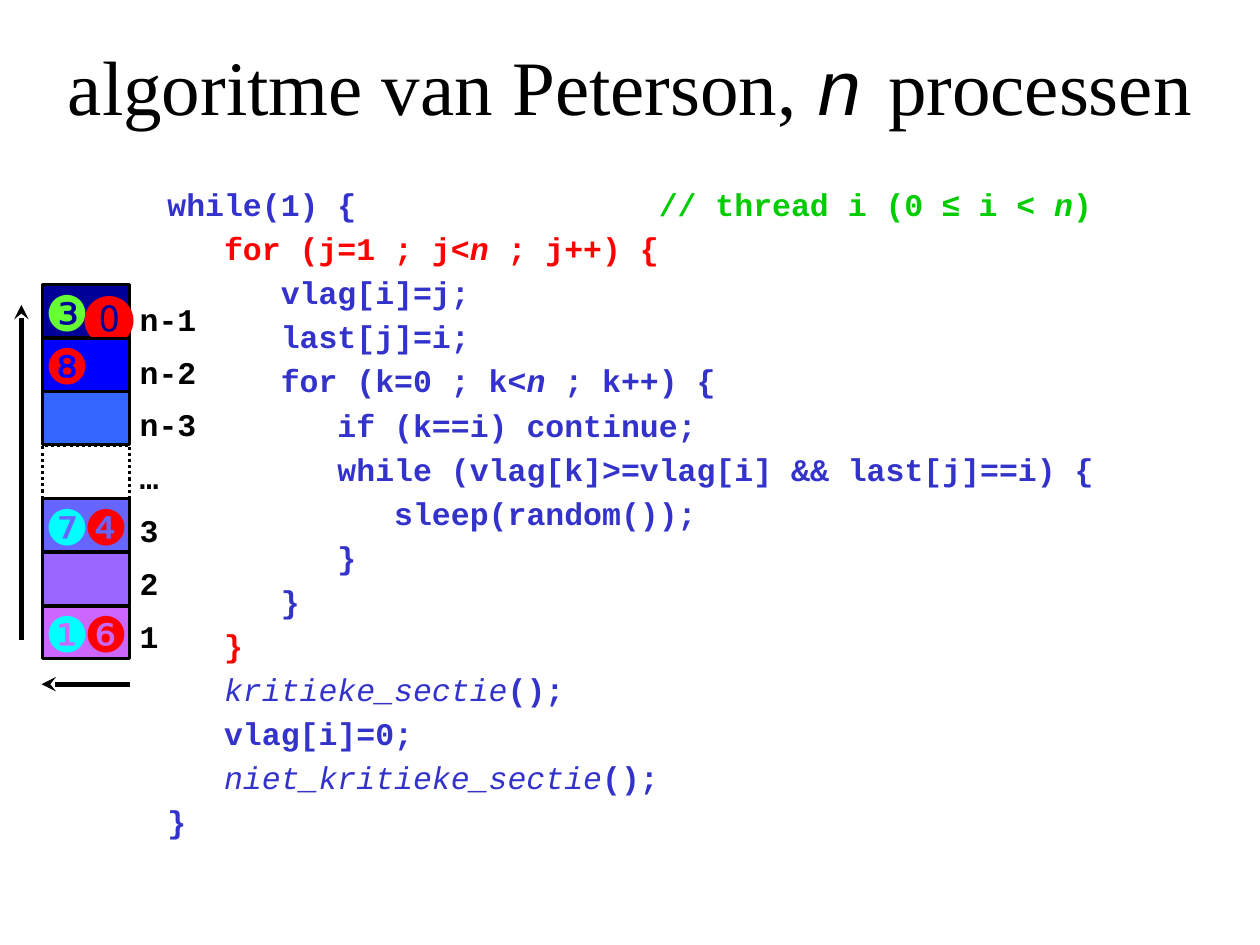
"""Build the slide on Peterson's algorithm for n processes."""
from lxml.etree import SubElement
from pptx import Presentation
from pptx.dml.color import RGBColor
from pptx.enum.dml import MSO_LINE
from pptx.enum.shapes import MSO_CONNECTOR, MSO_SHAPE
from pptx.enum.text import MSO_ANCHOR, PP_ALIGN
from pptx.oxml.ns import qn
from pptx.util import Inches, Pt


def paint(fill, colour):
    fill.solid()
    fill.fore_color.rgb = RGBColor.from_string(colour)


def write(paragraph, runs, colour, **shared):
    for text, changes in runs:
        run = paragraph.add_run()
        run.text = text
        style = {"name": "Courier New", "size": Pt(18), "bold": True, "italic": False} | shared | changes
        paint(run.font.fill, style.pop("colour", colour))
        for attribute, value in style.items():
            setattr(run.font, attribute, value)


BLUE, RED, GREEN, BLACK = "3333CC", "FF0000", "00CC00", "000000"
ITALIC = {"italic": True}
SECTION = {"italic": True, "bold": False}

presentation = Presentation()
presentation.slide_width, presentation.slide_height = Inches(10), Inches(7.5)
slide = presentation.slides.add_slide(presentation.slide_layouts[5])
shapes = slide.shapes

heading = shapes.title
heading.left, heading.top, heading.width, heading.height = Inches(0), Inches(0.05), Inches(10), Inches(1.25)
heading.text_frame.vertical_anchor = MSO_ANCHOR.MIDDLE
heading_line = heading.text_frame.paragraphs[0]
heading_line.alignment = PP_ALIGN.CENTER
serif = {"name": "Times New Roman", "size": Pt(44)}
write(heading_line, [
    ("algoritme van Peterson,", serif),
    (" ", {}),
    ("n", {"size": Pt(44), "italic": True}),
    (" ", {"size": Pt(24)}),
    ("processen", serif),
], BLACK, bold=False)

code_lines = [
    (BLUE, [("while(1) {\t", {}), ("// thread i (0 ", {"colour": GREEN}),
            ("≤", {"colour": GREEN, "name": "Arial"}), (" i < ", {"colour": GREEN}),
            ("n", {"colour": GREEN, "italic": True}), (")", {"colour": GREEN})]),
    (RED, [("   for (j=1 ; j<", {}), ("n ", ITALIC), ("; j++) {", {})]),
    (BLUE, [("      vlag[i]=j;", {})]),
    (BLUE, [("      last[j]=i;", {})]),
    (BLUE, [("      for (k=0 ; k<", {}), ("n ", ITALIC), ("; k++) {", {})]),
    (BLUE, [("         if (k==i) continue;", {})]),
    (BLUE, [("         while (vlag[k]>=vlag[i] && last[j]==i) {", {})]),
    (BLUE, [("            sleep(random());", {})]),
    (BLUE, [("         }", {})]),
    (BLUE, [("      }", {})]),
    (RED, [("   }", {})]),
    (BLUE, [("   ", {}), ("kritieke_sectie", SECTION), ("();", {})]),
    (BLUE, [("   vlag[i]=0;", {})]),
    (BLUE, [("   ", {}), ("niet_kritieke_sectie", SECTION), ("();", {})]),
    (BLUE, [("}", {})]),
]
code = shapes.add_textbox(Inches(1.23), Inches(1.42), Inches(7.61), Inches(5.36)).text_frame
code.word_wrap = True
for number, (colour, runs) in enumerate(code_lines):
    code_line = code.add_paragraph() if number else code.paragraphs[0]
    code_line.space_before = Pt(3.6 if number else 0)
    if number == 0:
        stops = SubElement(code_line._p.get_or_add_pPr(), qn("a:tabLst"))
        SubElement(stops, qn("a:tab"), pos=str(Inches(3.9)), algn="l")
    write(code_line, runs, colour)

levels = [
    ("n-1", "000099", [("❸", "66FF33"), ("⓿", RED)]),
    ("n-2", "0000FF", [("❽", RED)]),
    ("n-3", "3366FF", []),
    ("…", None, []),
    ("3", "6666FF", [("❼", "00FFFF"), ("❹", RED)]),
    ("2", "9966FF", []),
    ("1", "CC66FF", [("❶", "00FFFF"), ("❻", RED)]),
]
labels = shapes.add_textbox(Inches(1.01), Inches(2.21), Inches(0.65), Inches(3.04)).text_frame
labels.word_wrap = False
for row, (label, colour, threads) in enumerate(levels):
    top = 2.26 + 0.425 * row
    level = shapes.add_shape(MSO_SHAPE.RECTANGLE, Inches(0.34), Inches(top), Inches(0.69), Inches(0.42))
    level.shadow.inherit = False
    paint(level.line.fill, BLACK)
    level.line.width = Pt(1.75)
    if colour:
        paint(level.fill, colour)
    else:
        level.fill.background()
        level.line.dash_style = MSO_LINE.ROUND_DOT
    label_line = labels.add_paragraph() if row else labels.paragraphs[0]
    label_line.line_spacing = 1.4
    write(label_line, [(label, {})], BLACK)
    for column, (digit, digit_colour) in enumerate(threads):
        thread = shapes.add_textbox(Inches(0.26 + 0.31 * column), Inches(top - 0.07), Inches(0.55), Inches(0.57))
        thread.text_frame.word_wrap = False
        write(thread.text_frame.paragraphs[0], [(digit, {})], digit_colour, name="Arial", size=Pt(28), bold=False)

for ends in [(0.17, 5.08, 0.17, 2.42), (1.03, 5.43, 0.33, 5.43)]:
    arrow = shapes.add_connector(MSO_CONNECTOR.STRAIGHT, *map(Inches, ends))
    paint(arrow.line.fill, BLACK)
    arrow.line.width = Pt(2.75)
    SubElement(arrow.line._get_or_add_ln(), qn("a:tailEnd"), type="stealth")
    SubElement(arrow._element.spPr, qn("a:effectLst"))

presentation.save("out.pptx")
